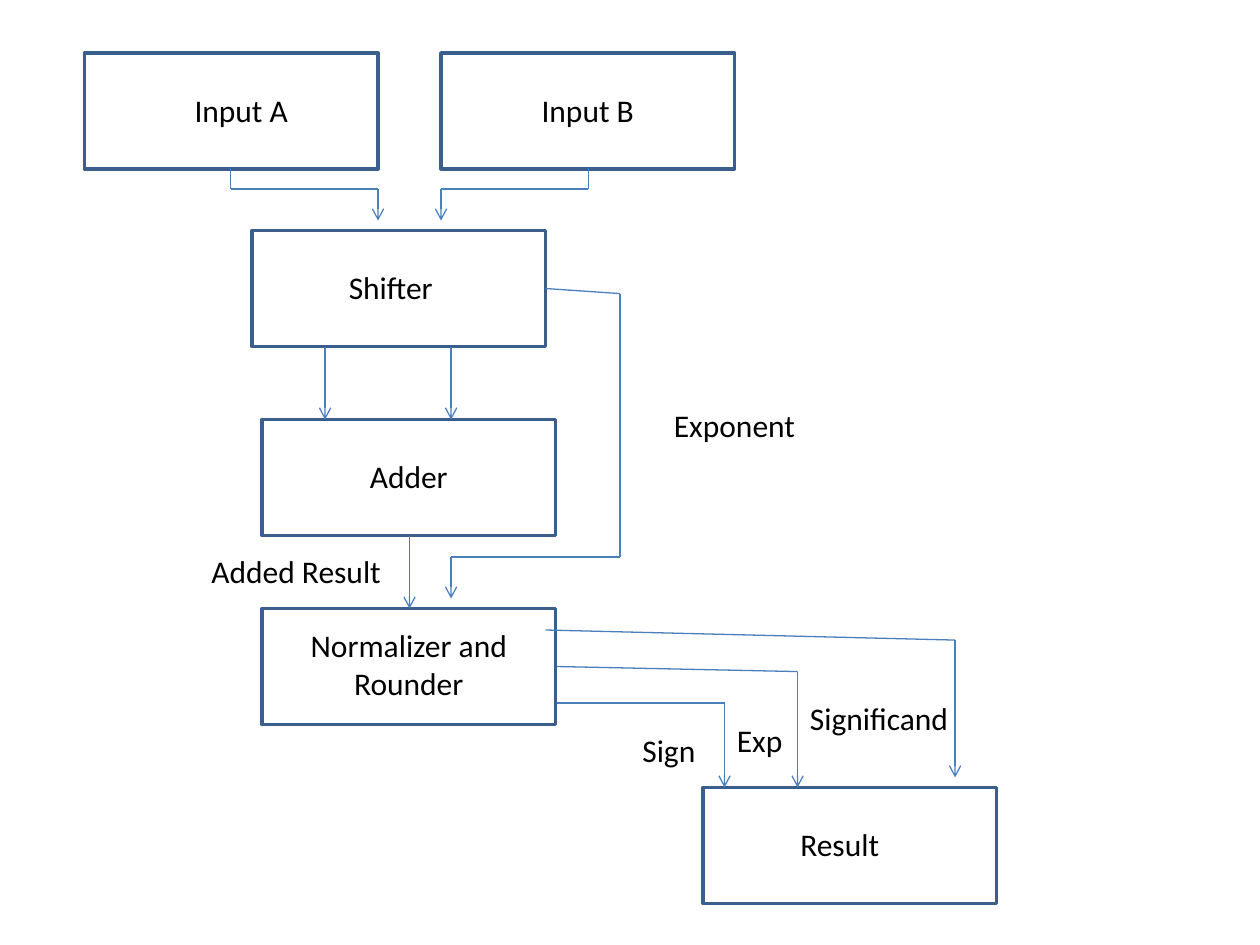
from itertools import pairwise

from pptx import Presentation
from pptx.dml.color import RGBColor
from pptx.enum.shapes import MSO_CONNECTOR as Connector, MSO_SHAPE as Shape
from pptx.enum.text import MSO_AUTO_SIZE as AutoSize, PP_ALIGN as Align
from pptx.oxml.ns import qn
from pptx.oxml.xmlchemy import OxmlElement
from pptx.util import Inches, Pt

BLOCK_WIDTH, BLOCK_HEIGHT = 2.33, 0.92
LABEL_WIDTH, LABEL_HEIGHT = 1.83, 0.4

BLOCKS = [
    ("Input A", 0.67, 0.42, {"indent": 0.33}),
    ("Input B", 3.5, 0.42, {}),
    ("Shifter", 2, 1.83, {"indent": 0.67, "align": Align.LEFT}),
    ("Adder", 2.08, 3.33, {}),
    ("Normalizer and Rounder", 2.08, 4.83, {"drop": 0.09, "height": 0.71}),
    ("Result", 5.58, 6.25, {"indent": 0.17}),
]

ROUTES = [
    [(1.83, 1.33), (1.83, 1.5), (3, 1.5), (3, 1.75)],
    [(4.67, 1.33), (4.67, 1.5), (3.5, 1.5), (3.5, 1.75)],
    [(2.58, 2.75), (2.58, 3.33)],
    [(3.58, 2.75), (3.58, 3.33)],
    [(3.25, 4.25), (3.25, 4.83)],
    [(4.33, 2.29), (4.92, 2.33), (4.92, 4.42), (3.58, 4.42), (3.58, 4.75)],
    [(4.42, 5.58), (5.75, 5.58), (5.75, 6.25)],
    [(4.42, 5.29), (6.33, 5.33), (6.33, 6.25)],
    [(4.33, 5), (7.58, 5.08), (7.58, 6.17)],
]

SIGNALS = [
    ("Added Result", 1.58, 4.33, 1.56),
    ("Exponent", 5.25, 3.17, 1.17),
    ("Sign", 5, 5.75, 0.63),
    ("Exp", 5.75, 5.67, 0.57),
    ("Significand", 6.33, 5.5, 1.31),
]


def color(value):
    return RGBColor.from_string(value)


def add_label(page, text, left, top, width=LABEL_WIDTH, height=LABEL_HEIGHT,
              align=Align.LEFT, wrap=True):
    box = page.shapes.add_textbox(*map(Inches, (left, top, width, height)))
    frame = box.text_frame
    frame.word_wrap = wrap
    frame.auto_size = AutoSize.SHAPE_TO_FIT_TEXT
    para = frame.paragraphs[0]
    para.alignment = align
    span = para.add_run()
    span.text = text
    span.font.name = "Calibri"
    span.font.size = Pt(18)
    span.font.color.rgb = color("000000")


def add_block(page, text, left, top, indent=0.25, drop=0.25,
              height=LABEL_HEIGHT, align=Align.CENTER):
    block = page.shapes.add_shape(
        Shape.RECTANGLE, *map(Inches, (left, top, BLOCK_WIDTH, BLOCK_HEIGHT)))
    block.shadow.inherit = False
    block.fill.solid()
    block.fill.fore_color.rgb = color("FFFFFF")
    block.line.color.rgb = color("3A5F8C")
    block.line.width = Pt(2)
    add_label(page, text, left + indent, top + drop, height=height, align=align)


def add_segment(page, start, end, arrow=False):
    segment = page.shapes.add_connector(
        Connector.STRAIGHT, *map(Inches, (*start, *end)))
    segment.line.color.rgb = color("4B7EBC")
    segment.line.width = Pt(0.75)
    properties = segment._element.spPr
    if arrow:
        head = OxmlElement("a:tailEnd")
        head.set("type", "arrow")
        properties.find(qn("a:ln")).append(head)
    properties.append(OxmlElement("a:effectLst"))


def add_route(page, points):
    for start, end in pairwise(points):
        add_segment(page, start, end, arrow=end == points[-1])


def build_flow(page):
    for text, left, top, options in BLOCKS:
        add_block(page, text, left, top, **options)
    for points in ROUTES:
        add_route(page, points)
    for text, left, top, width in SIGNALS:
        add_label(page, text, left, top, width, wrap=False)


deck = Presentation()
deck.slide_width, deck.slide_height = Inches(10), Inches(7.5)
build_flow(deck.slides.add_slide(deck.slide_layouts[6]))
deck.save("out.pptx")
